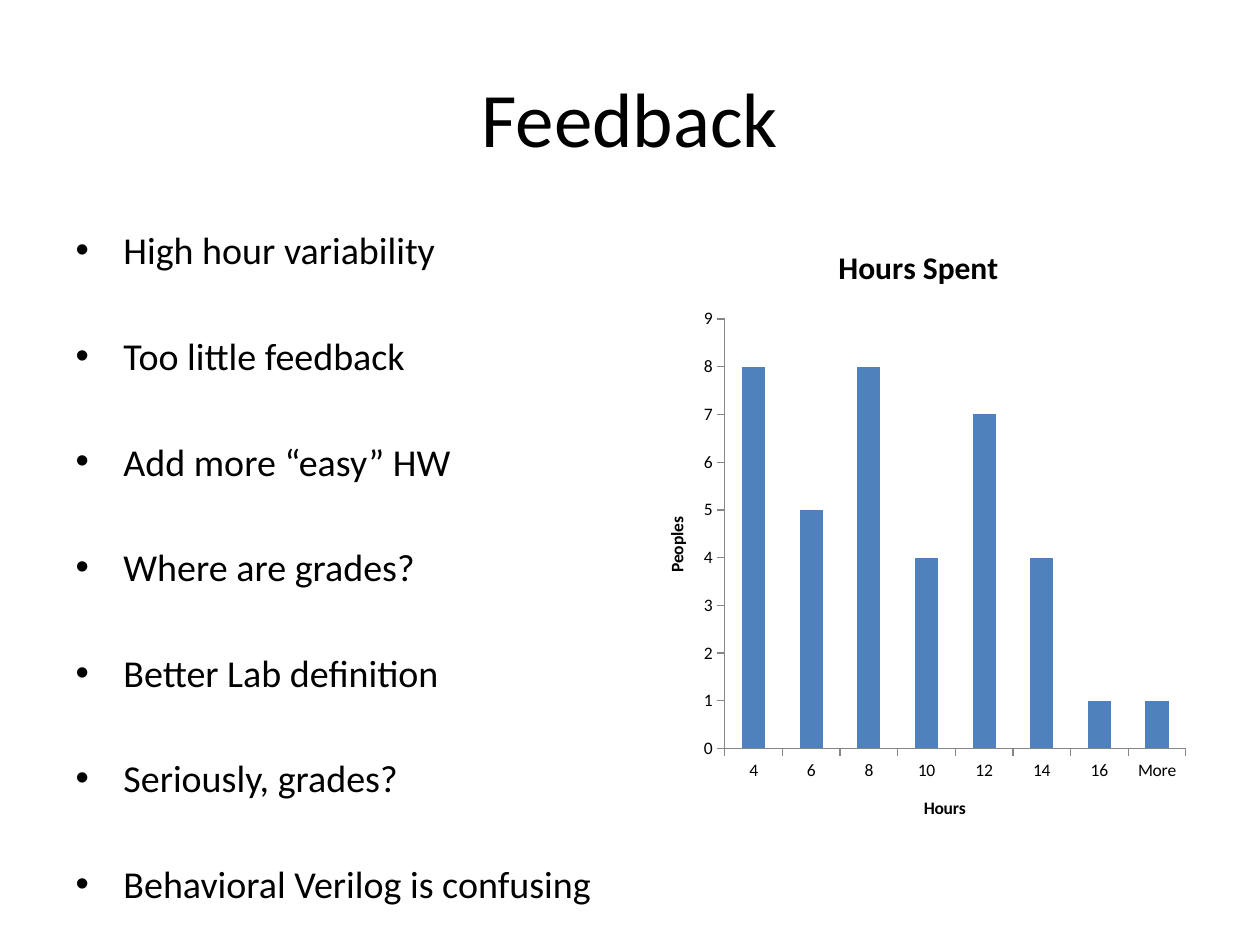
import pptx
import pptx.chart.data
import pptx.dml.color
import pptx.enum.chart
import pptx.enum.text
import pptx.util
from lxml import etree

Inches = pptx.util.Inches
Pt = pptx.util.Pt
RGBColor = pptx.dml.color.RGBColor

TITLE = "Feedback"
COMMENTS = [
    "High hour variability",
    "Too little feedback",
    "Add more “easy” HW",
    "Where are grades?",
    "Better Lab definition",
    "Seriously, grades?",
    "Behavioral Verilog is confusing",
]
CHART_TITLE = "Hours Spent"
HOURS = ["4", "6", "8", "10", "12", "14", "16", "More"]
PEOPLE = [8, 5, 8, 4, 7, 4, 1, 1]

FONT = "Calibri"
BLACK = RGBColor(0x00, 0x00, 0x00)
BLUE = RGBColor(0x4F, 0x81, 0xBD)
GRAY = RGBColor(0x86, 0x86, 0x86)

MARGIN, TOP = 0.5, 1.75
COL_W, COL_H = 4.42, 4.95
CHART_X = 10 - MARGIN - COL_W
INDENT = Inches(0.38)


def place(sp, x, y, w, h):
    sp.left, sp.top, sp.width, sp.height = map(Inches, (x, y, w, h))


def style(font, size, bold=False):
    font.name, font.size, font.bold = FONT, Pt(size), bold
    font.color.rgb = BLACK


def add_run(p, text, size, bold=False):
    r = p.add_run()
    r.text = text
    style(r.font, size, bold)


def format_axis(axis, title):
    axis.has_major_gridlines = False
    axis.major_tick_mark = pptx.enum.chart.XL_TICK_MARK.OUTSIDE
    axis.minor_tick_mark = pptx.enum.chart.XL_TICK_MARK.NONE
    axis.format.line.color.rgb = GRAY
    style(axis.tick_labels.font, 10)
    add_run(axis.axis_title.text_frame.paragraphs[0], title, 10, True)


prs = pptx.Presentation()
prs.slide_width, prs.slide_height = Inches(10), Inches(7.5)
s = prs.slides.add_slide(prs.slide_layouts[1])

title = s.shapes.title
place(title, MARGIN, 0.3, 9, 1.25)
title.text_frame.vertical_anchor = pptx.enum.text.MSO_ANCHOR.MIDDLE
p = title.text_frame.paragraphs[0]
p.alignment = pptx.enum.text.PP_ALIGN.CENTER
add_run(p, TITLE, 44)

body = s.placeholders[1]
place(body, MARGIN, TOP, COL_W, COL_H)
tf = body.text_frame
tf.word_wrap = True
tf.auto_size = pptx.enum.text.MSO_AUTO_SIZE.NONE
for i, comment in enumerate(COMMENTS):
    p = tf.add_paragraph() if i else tf.paragraphs[0]
    p.space_before = Pt(34.3 if i else 0)
    add_run(p, comment, 21.7)
    pPr = p._p.get_or_add_pPr()
    pPr.set("marL", str(INDENT))
    pPr.set("indent", str(-INDENT))
    etree.SubElement(pPr, pptx.oxml.ns.qn("a:buChar")).set("char", "•")

data = pptx.chart.data.CategoryChartData()
data.categories = HOURS
data.add_series("Series 1", PEOPLE)
chart = s.shapes.add_chart(
    pptx.enum.chart.XL_CHART_TYPE.COLUMN_CLUSTERED,
    Inches(CHART_X), Inches(TOP), Inches(COL_W), Inches(COL_H), data,
).chart
style(chart.font, 10)
chart.has_legend = False
chart.has_title = True
add_run(chart.chart_title.text_frame.paragraphs[0], CHART_TITLE, 18, True)
chart.chart_title.include_in_layout = False
format_axis(chart.category_axis, "Hours")
format_axis(chart.value_axis, "Peoples")
chart.value_axis.minimum_scale = 0
chart.value_axis.maximum_scale = 9
chart.value_axis.major_unit = 1
plot = chart.plots[0]
plot.gap_width = 150
plot.vary_by_categories = False
fill = plot.series[0].format.fill
fill.solid()
fill.fore_color.rgb = BLUE

prs.save("out.pptx")
